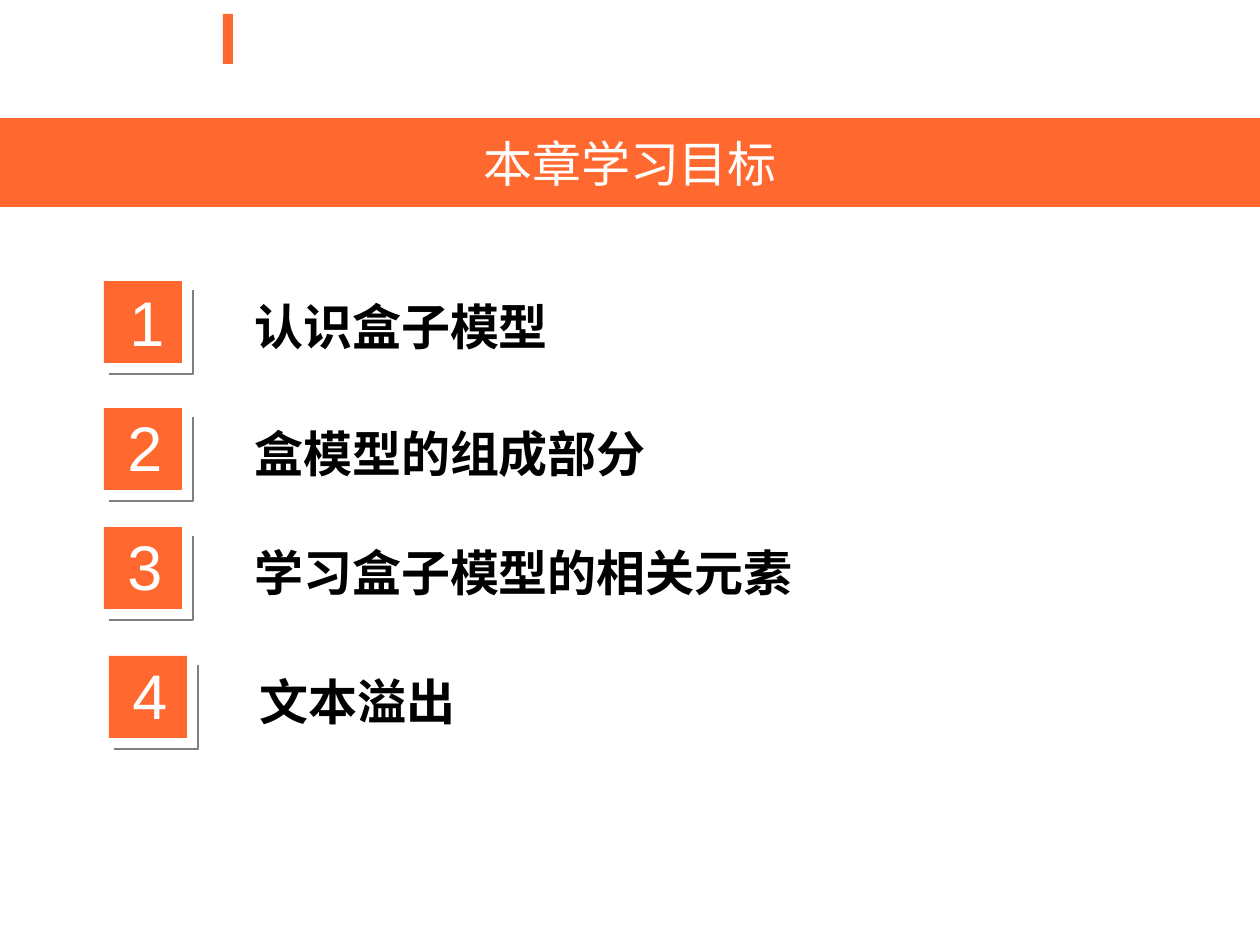
from lxml import etree
from pptx import Presentation
from pptx.dml.color import RGBColor
from pptx.enum.shapes import MSO_SHAPE
from pptx.enum.text import MSO_ANCHOR, PP_ALIGN
from pptx.oxml.ns import qn
from pptx.util import Pt

RECTANGLE = MSO_SHAPE.RECTANGLE
MIDDLE = MSO_ANCHOR.MIDDLE
CENTER, LEFT = PP_ALIGN.CENTER, PP_ALIGN.LEFT
EMU_PER_PIXEL = 914400 / 126
COLORS = {"accent": "FF682F", "text": "000000", "light": "FFFFFF", "edge": "7F7F7F"}
LATIN, CJK = "Arial", "Noto Sans CJK SC"


def px(value):
    return round(value * EMU_PER_PIXEL)


def color(key):
    return RGBColor.from_string(COLORS[key])


class GoalsSlide:
    """Style and drawing methods for the slide of chapter goals."""

    def __init__(self, presentation):
        self.slide = presentation.slides.add_slide(presentation.slide_layouts[5])
        self.shapes = self.slide.shapes

    def set_text(self, frame, text, size, font_name, ink, bold=False, align=LEFT):
        frame.word_wrap = True
        paragraph = frame.paragraphs[0]
        paragraph.text = text
        paragraph.alignment = align
        font = paragraph.font
        font.size, font.name, font.bold = Pt(size), font_name, bold
        font.color.rgb = color(ink)
        east_asian = etree.SubElement(font._element, qn("a:ea"))
        east_asian.set("typeface", CJK)

    def title(self, text, left, top, width, height):
        band = self.shapes.title
        band.left, band.top, band.width, band.height = map(px, (left, top, width, height))
        band.fill.solid()
        band.fill.fore_color.rgb = color("accent")
        band.text_frame.vertical_anchor = MIDDLE
        self.set_text(band.text_frame, text, 28, LATIN, "light", align=CENTER)

    def block(self, left, top, width, height):
        block = self.shapes.add_shape(RECTANGLE, *map(px, (left, top, width, height)))
        block.shadow.inherit = False
        block.fill.solid()
        block.fill.fore_color.rgb = color("accent")
        block.line.fill.background()

    def corner(self, left, top, size):
        right, bottom = px(left + size), px(top + size)
        builder = self.shapes.build_freeform(px(left), bottom)
        builder.add_line_segments([(right, bottom), (right, px(top))], close=False)
        edge = builder.convert_to_shape()
        edge.shadow.inherit = False
        edge.fill.background()
        edge.line.color.rgb = color("edge")
        edge.line.width = Pt(1)

    def label(self, text, left, top, width, height, **style):
        box = self.shapes.add_textbox(*map(px, (left, top, width, height)))
        self.set_text(box.text_frame, text, **style)

    def goal(self, number, text, left, top, nudge):
        self.block(left, top, 78, 82)
        self.label(str(number), left + 11 + nudge, top - 6 + nudge, 64, 89,
                   size=36, font_name=LATIN, ink="light")
        self.corner(left + 5, top + 9, 84)
        self.label(text, left + 138, top + 9, 969, 72,
                   size=28, font_name=CJK, ink="text", bold=True)


presentation = Presentation()
presentation.slide_width, presentation.slide_height = px(1260), px(945)
page = GoalsSlide(presentation)
page.block(223, 14, 10, 50)
page.title("本章学习目标", 0, 118, 1260, 89)

goals = [
    ("认识盒子模型", 104, 281, 2),
    ("盒模型的组成部分", 104, 408, 0),
    ("学习盒子模型的相关元素", 104, 527, 0),
    ("文本溢出", 109, 656, 0),
]
for number, (text, left, top, nudge) in enumerate(goals, start=1):
    page.goal(number, text, left, top, nudge)

presentation.save("out.pptx")
